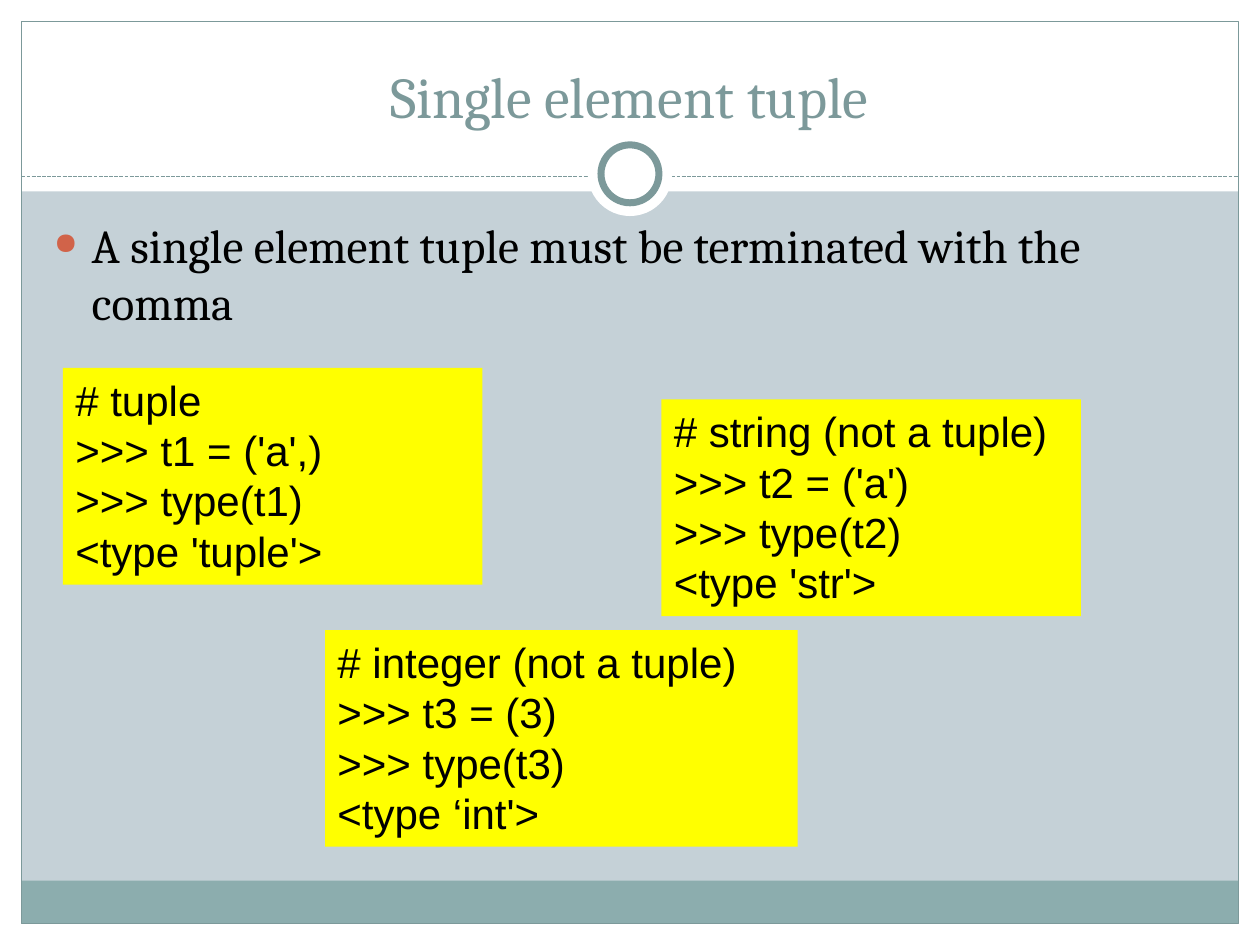
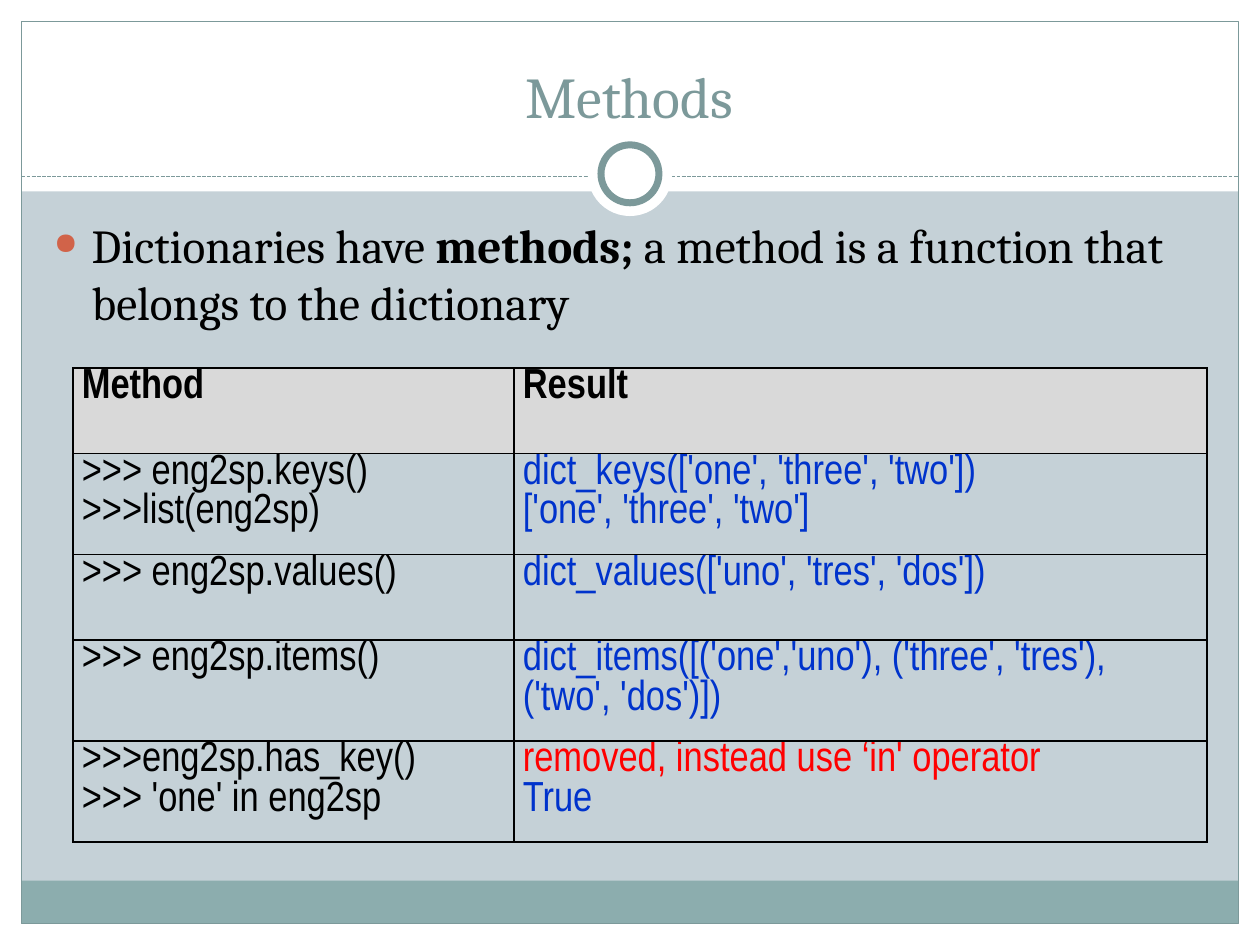
from dataclasses import dataclass

from lxml import etree
from pptx import Presentation
from pptx.dml.color import RGBColor
from pptx.enum import dml, shapes, text
from pptx.oxml import ns
from pptx.util import Inches, Pt


@dataclass(frozen=True)
class Theme:
    """Colours, fonts and type sizes of the deck."""
    page: str = "C5D1D7"
    white: str = "FFFFFF"
    black: str = "000000"
    accent: str = "7C999A"
    footer: str = "8CADAE"
    bullet: str = "D16349"
    code: str = "FFFF00"
    header: str = "D9D9D9"
    result: str = "0033CC"
    warning: str = "FF0000"
    serif: str = "Cambria"
    sans: str = "Arial"
    narrow: str = "Arial Narrow"
    title_size: float = 33
    body_size: float = 27
    code_size: float = 24


THEME = Theme()
WIDTH, HEIGHT, MARGIN = 10, 7.5, 0.17
CONTENT = (0.33, 1.67, 9.3, 1.5)


def rgb(color):
    """Turn a hex string into a colour."""
    return RGBColor.from_string(color)


def style(para, face, size, color, bold=False):
    """Set the font of a whole paragraph."""
    font = para.font
    font.name, font.size, font.bold = face, Pt(size), bold
    font.color.rgb = rgb(color)


def add_panel(page, box, fill=None, line=None, weight=0.75, kind="RECTANGLE"):
    """Add a flat preset shape in the given box."""
    shape = page.shapes.add_shape(shapes.MSO_SHAPE[kind], *map(Inches, box))
    shape.shadow.inherit = False
    if fill:
        shape.fill.solid()
        shape.fill.fore_color.rgb = rgb(fill)
    else:
        shape.fill.background()
    if line:
        shape.line.color.rgb = rgb(line)
        shape.line.width = Pt(weight)
    else:
        shape.line.fill.background()
    return shape


def add_circle(page, center, size, **look):
    """Add a white circle around a center point."""
    x, y = center
    add_panel(page, (x - size / 2, y - size / 2, size, size), THEME.white, kind="OVAL", **look)


def add_rule(page, left, right, y):
    """Add the dashed rule below the title."""
    rule = page.shapes.add_connector(
        shapes.MSO_CONNECTOR.STRAIGHT, Inches(left), Inches(y), Inches(right), Inches(y))
    rule.line.color.rgb = rgb(THEME.accent)
    rule.line.width = Pt(0.75)
    rule.line.dash_style = dml.MSO_LINE.SQUARE_DOT
    etree.SubElement(rule._element.spPr, ns.qn("a:effectLst"))


def add_frame(page):
    """Draw the bands, border and ring shared by every slide."""
    page.background.fill.solid()
    page.background.fill.fore_color.rgb = rgb(THEME.page)
    right, bottom = WIDTH - MARGIN, HEIGHT - MARGIN
    inner = right - MARGIN
    for band in ((0, bottom, WIDTH, MARGIN), (0, 0, WIDTH, 1.52),
                 (0, 0, MARGIN, HEIGHT), (right, 0, MARGIN, HEIGHT)):
        add_panel(page, band, THEME.white)
    add_panel(page, (MARGIN, bottom - 0.34, inner, 0.34), THEME.footer)
    add_panel(page, (MARGIN, MARGIN, inner, bottom - MARGIN), line=THEME.accent)
    add_rule(page, MARGIN, right, 1.4)
    ring = (WIDTH / 2, 1.38)
    add_circle(page, ring, 0.67)
    add_circle(page, ring, 0.46, line=THEME.accent, weight=4)


def add_text(page, box):
    """Add a wrapping text box and return its frame."""
    frame = page.shapes.add_textbox(*map(Inches, box)).text_frame
    frame.word_wrap = True
    return frame


def add_title(page, title):
    """Write the centred slide title."""
    frame = add_text(page, (0.33, 0.25, 9.33, 0.83))
    frame.vertical_anchor = text.MSO_ANCHOR.BOTTOM
    para = frame.paragraphs[0]
    para.text, para.alignment = title, text.PP_ALIGN.CENTER
    style(para, THEME.serif, THEME.title_size, THEME.accent)


def add_bullet(page, box, spans):
    """Write one bulleted paragraph from (text, bold) spans."""
    para = add_text(page, box).paragraphs[0]
    para.space_before = Pt(5.4)
    style(para, THEME.serif, THEME.body_size, THEME.black)
    for words, bold in spans:
        span = para.add_run()
        span.text = words
        if bold:
            span.font.bold = True
    props = para._p.get_or_add_pPr()
    props.set("marL", str(Inches(0.3)))
    props.set("indent", str(-Inches(0.3)))
    color = etree.SubElement(props, ns.qn("a:buClr"))
    etree.SubElement(color, ns.qn("a:srgbClr"), val=THEME.bullet)
    etree.SubElement(props, ns.qn("a:buSzPct"), val="64000")
    etree.SubElement(props, ns.qn("a:buChar"), char="●")
    props.append(props.find(ns.qn("a:defRPr")))


def add_code(page, box, lines):
    """Add a yellow box of code lines."""
    frame = add_panel(page, box, THEME.code).text_frame
    frame.word_wrap = True
    frame.vertical_anchor = text.MSO_ANCHOR.TOP
    frame.text = "\n".join(lines)
    for para in frame.paragraphs:
        para.alignment = text.PP_ALIGN.LEFT
        style(para, THEME.sans, THEME.code_size, THEME.black)


def add_borders(cell):
    """Draw thin black lines on all sides of a cell."""
    props = cell._tc.get_or_add_tcPr()
    for side in ("lnL", "lnR", "lnT", "lnB"):
        line = etree.SubElement(props, ns.qn(f"a:{side}"), w=str(Pt(1)))
        fill = etree.SubElement(line, ns.qn("a:solidFill"))
        etree.SubElement(fill, ns.qn("a:srgbClr"), val=THEME.black)


def fill_cell(cell, lines, header):
    """Write (text, colour) lines into a bordered cell."""
    add_borders(cell)
    if header:
        cell.fill.solid()
        cell.fill.fore_color.rgb = rgb(THEME.header)
    else:
        cell.fill.background()
    cell.margin_left = cell.margin_right = Inches(0.07)
    cell.margin_top = cell.margin_bottom = 0
    cell.text = "\n".join(words for words, _ in lines)
    for para, (_, color) in zip(cell.text_frame.paragraphs, lines):
        style(para, THEME.narrow, THEME.code_size, color, header)


def add_methods_table(page, left, top, widths, row_height, rows):
    """Add the table of methods and their results."""
    table = page.shapes.add_table(
        len(rows), len(widths), Inches(left), Inches(top),
        Inches(sum(widths)), Inches(row_height * len(rows))).table
    table.first_row = table.horz_banding = False
    for column, width in zip(table.columns, widths):
        column.width = Inches(width)
    for r, row in enumerate(rows):
        table.rows[r].height = Inches(row_height)
        for c, lines in enumerate(row):
            fill_cell(table.cell(r, c), lines, header=r == 0)


def add_page(deck, title, spans):
    """Add a framed slide with a title and a bullet."""
    page = deck.slides.add_slide(deck.slide_layouts[6])
    add_frame(page)
    add_title(page, title)
    add_bullet(page, CONTENT, spans)
    return page


def build_tuple_page(deck):
    """Build the slide on single element tuples."""
    page = add_page(deck, "Single element tuple", [
        ("A single element tuple must be terminated with the comma", False)])
    examples = (
        ((5.25, 3.17, 3.33), "# string (not a tuple)", "t2", "('a')", "'str'"),
        ((0.5, 2.92, 3.33), "# tuple", "t1", "('a',)", "'tuple'"),
        ((2.58, 5, 3.75), "# integer (not a tuple)", "t3", "(3)", "‘int'"),
    )
    for place, comment, name, value, kind in examples:
        add_code(page, (*place, 1.72), [
            comment, f">>> {name} = {value}", f">>> type({name})", f"<type {kind}>"])


def build_methods_page(deck):
    """Build the slide on dictionary methods."""
    page = add_page(deck, "Methods", [
        ("Dictionaries have ", False), ("methods; ", True),
        ("a method is a function that belongs to the dictionary", False)])
    black, blue, red = THEME.black, THEME.result, THEME.warning
    rows = (
        ([("Method", black)], [("Result", black)]),
        ([(">>> eng2sp.keys()", black), (">>>list(eng2sp)", black)],
         [("dict_keys(['one', 'three', 'two'])", blue), ("['one', 'three', 'two']", blue)]),
        ([(">>> eng2sp.values()", black)], [("dict_values(['uno', 'tres', 'dos'])", blue)]),
        ([(">>> eng2sp.items()", black)],
         [("dict_items([('one','uno'), ('three', 'tres'), ('two', 'dos')])", blue)]),
        ([(">>>eng2sp.has_key()", black), (">>> 'one' in eng2sp", black)],
         [("removed, instead use ‘in' operator", red), ("True", blue)]),
    )
    add_methods_table(page, 0.58, 2.92, (3.5, 5.5), 0.68, rows)


def main():
    """Build and save the deck."""
    deck = Presentation()
    deck.slide_width, deck.slide_height = Inches(WIDTH), Inches(HEIGHT)
    build_tuple_page(deck)
    build_methods_page(deck)
    deck.save("out.pptx")


if __name__ == "__main__":
    main()
